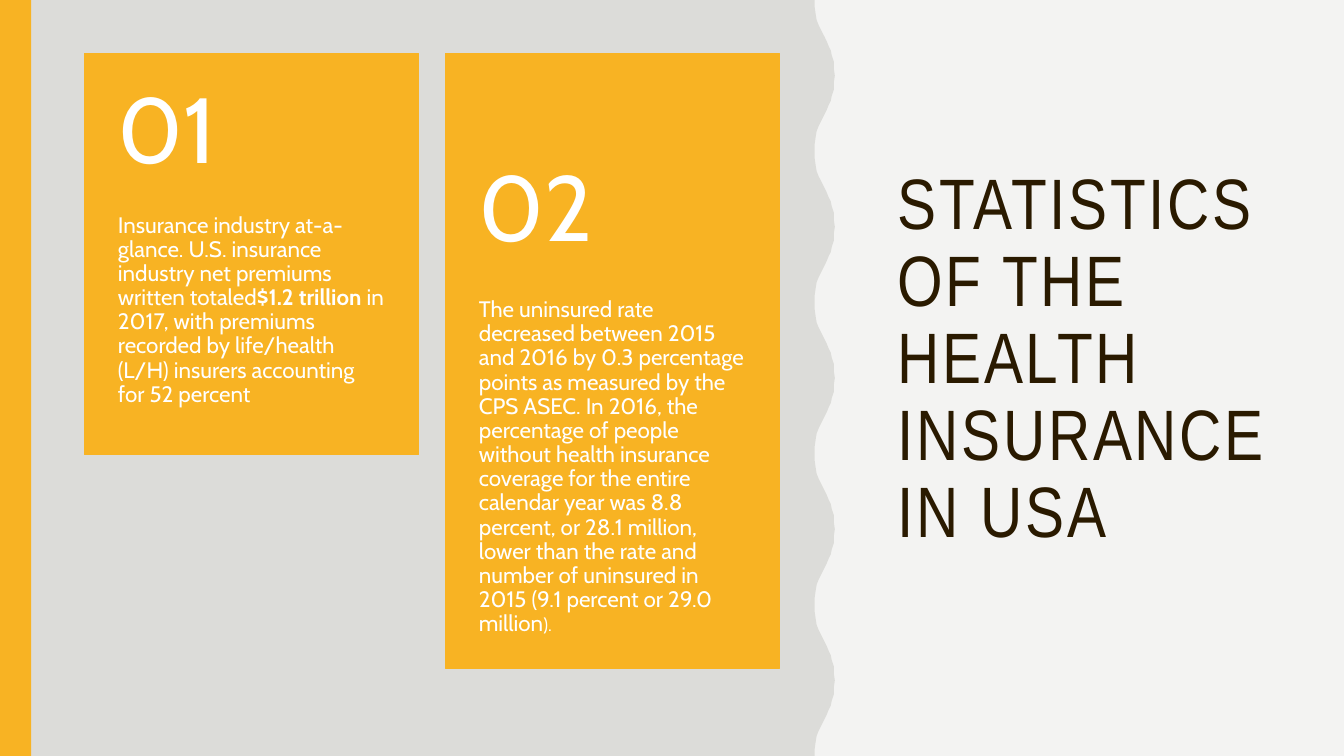
from dataclasses import dataclass
from pptx import Presentation
from pptx.dml.color import RGBColor
from pptx.enum import shapes, text
from pptx.util import Inches, Pt


@dataclass(frozen=True)
class Theme:
    paper: str = "F3F3F2"
    panel: str = "DCDCD9"
    gold: str = "F8B323"
    ink: str = "2A1A00"
    white: str = "FFFFFF"
    head: str = "Arial Narrow"
    body: str = "Cabin"
    title: int = 51
    number: int = 66
    copy: int = 16
    small: int = 13


def write(shape, runs, font, size, color, inset=None, anchor="TOP", gap=0, track=0):
    frame = shape.text_frame
    frame.word_wrap = True
    frame.auto_size = text.MSO_AUTO_SIZE.NONE
    frame.vertical_anchor = text.MSO_ANCHOR[anchor]
    if inset:
        (frame.margin_left, frame.margin_top,
         frame.margin_right, frame.margin_bottom) = map(Inches, inset)
    para = frame.paragraphs[0]
    para.alignment = text.PP_ALIGN.LEFT
    para.line_spacing = 0.9
    para.space_after = Pt(gap)
    for words, bold, own in runs:
        run = para.add_run()
        run.text = words
        run.font.name = font
        run.font.size = Pt(own or size)
        run.font.bold = bold
        run.font.color.rgb = RGBColor.from_string(color)
        if track:
            run.font._element.set("spc", str(track * 100))


class Deck:
    def __init__(self, theme):
        self.theme = theme
        self.file = Presentation()
        self.file.slide_width = Inches(13.33)
        self.file.slide_height = Inches(7.5)
        self.slide = self.file.slides.add_slide(self.file.slide_layouts[5])
        fill = self.slide.background.fill
        fill.solid()
        fill.fore_color.rgb = RGBColor.from_string(theme.paper)

    def paint(self, shape, color, edge=False):
        shape.shadow.inherit = False
        shape.fill.solid()
        shape.fill.fore_color.rgb = RGBColor.from_string(color)
        if edge:
            shape.line.color.rgb = RGBColor.from_string(color)
            shape.line.width = Pt(1)
        else:
            shape.line.fill.background()

    def rect(self, box, color, edge=False):
        shape = self.slide.shapes.add_shape(
            shapes.MSO_SHAPE.RECTANGLE, *map(Inches, box))
        self.paint(shape, color, edge)

    def label(self, box, runs, size, **style):
        shape = self.slide.shapes.add_textbox(*map(Inches, box))
        write(shape, runs, self.theme.body, size, self.theme.white, **style)

    def title(self, box, words):
        shape = self.slide.shapes.title
        shape.left, shape.top, shape.width, shape.height = map(Inches, box)
        write(shape, [(words, False, None)], self.theme.head, self.theme.title,
              self.theme.ink, anchor="MIDDLE", track=2)

    def wave(self, left, color, count=5, pitch=1.5):
        curve = [(0, 0), (0, 0.07), (0.01, 0.14), (0.02, 0.2), (0.04, 0.25),
                 (0.06, 0.29), (0.08, 0.33), (0.1, 0.37), (0.12, 0.41),
                 (0.14, 0.46), (0.16, 0.5), (0.17, 0.55), (0.19, 0.61),
                 (0.19, 0.68), (0.2, 0.75)]
        cycle = curve + [(x, pitch - y) for x, y in curve[-2::-1]]
        edge = [(left + x, turn * pitch + y)
                for turn in range(count) for x, y in cycle]
        points = [(Inches(x), Inches(y)) for x, y in edge + [(0, count * pitch)]]
        form = self.slide.shapes.build_freeform(0, 0)
        form.add_line_segments(points, close=True)
        self.paint(form.convert_to_shape(), color)

    def card(self, left, height, number, top, runs, start):
        wide = 3.31
        self.rect((left, 0.53, wide, height), self.theme.gold, edge=True)
        self.label((left, start, wide, 0.53 + height - start), runs,
                   self.theme.copy, inset=(0.33, 0, 0.33, 0.36), gap=5)
        self.label((left, top, wide, 1.59), [(number, False, None)],
                   self.theme.number, inset=(0.33, 0.18, 0.33, 0.18),
                   anchor="MIDDLE")


def main():
    theme = Theme()
    deck = Deck(theme)
    deck.title((8.8, 0.53, 4, 6.09), "STATISTICS OF THE HEALTH INSURANCE IN USA")
    deck.wave(8.08, theme.panel)
    deck.rect((0, 0, 0.31, 7.5), theme.gold)
    deck.card(0.84, 3.98, "01", 0.53, [
        ("Insurance industry at-a-glance. U.S. insurance industry net premiums "
         "written totaled", False, None),
        ("$1.2 trillion", True, None),
        (" in 2017, with premiums recorded by life/health (L/H) insurers "
         "accounting for 52 percent", False, None)], 2.12)
    deck.card(4.42, 6.1, "02", 1.3, [
        ("The uninsured rate decreased between 2015 and 2016 by 0.3 percentage "
         "points as measured by the CPS ASEC. In 2016, the percentage of people "
         "without health insurance coverage for the entire calendar year was 8.8 "
         "percent, or 28.1 million, lower than the rate and number of uninsured "
         "in 2015 (9.1 percent or 29.0 million", False, None),
        (").", False, theme.small)], 2.96)
    deck.file.save("out.pptx")


if __name__ == "__main__":
    main()
